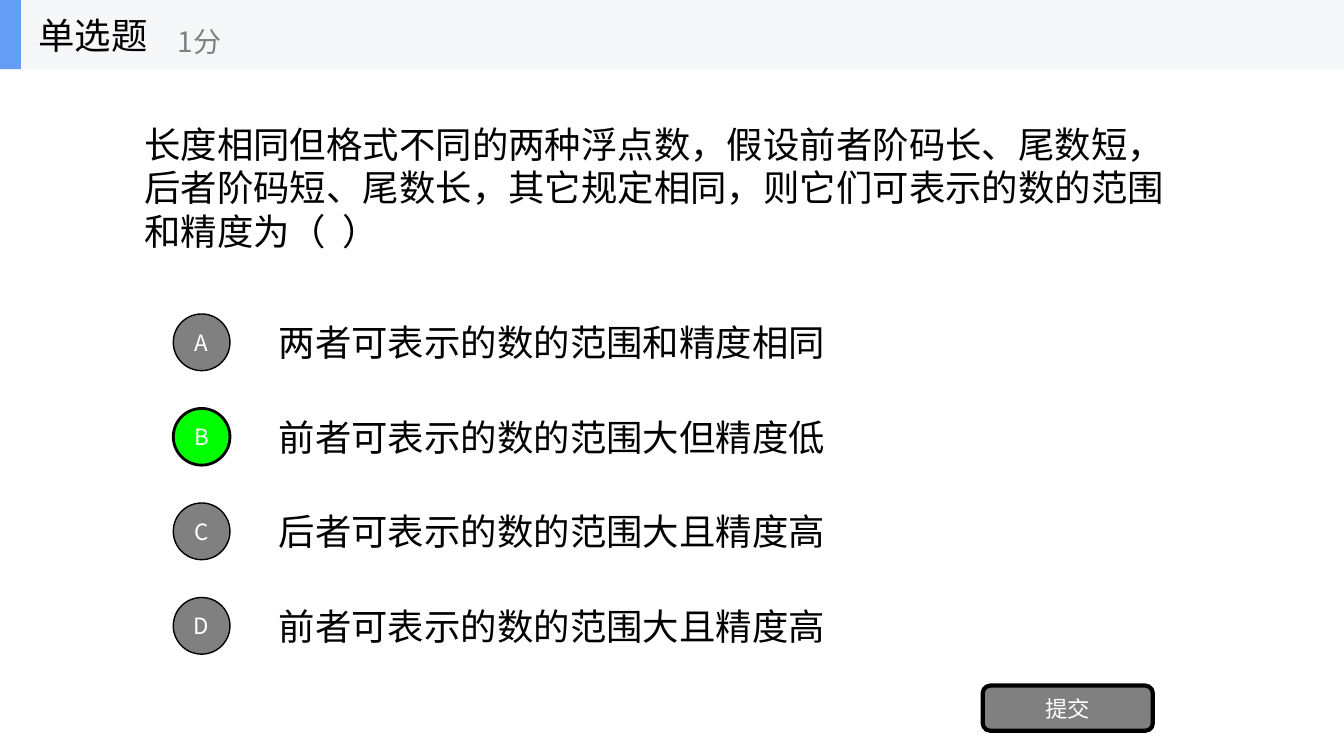
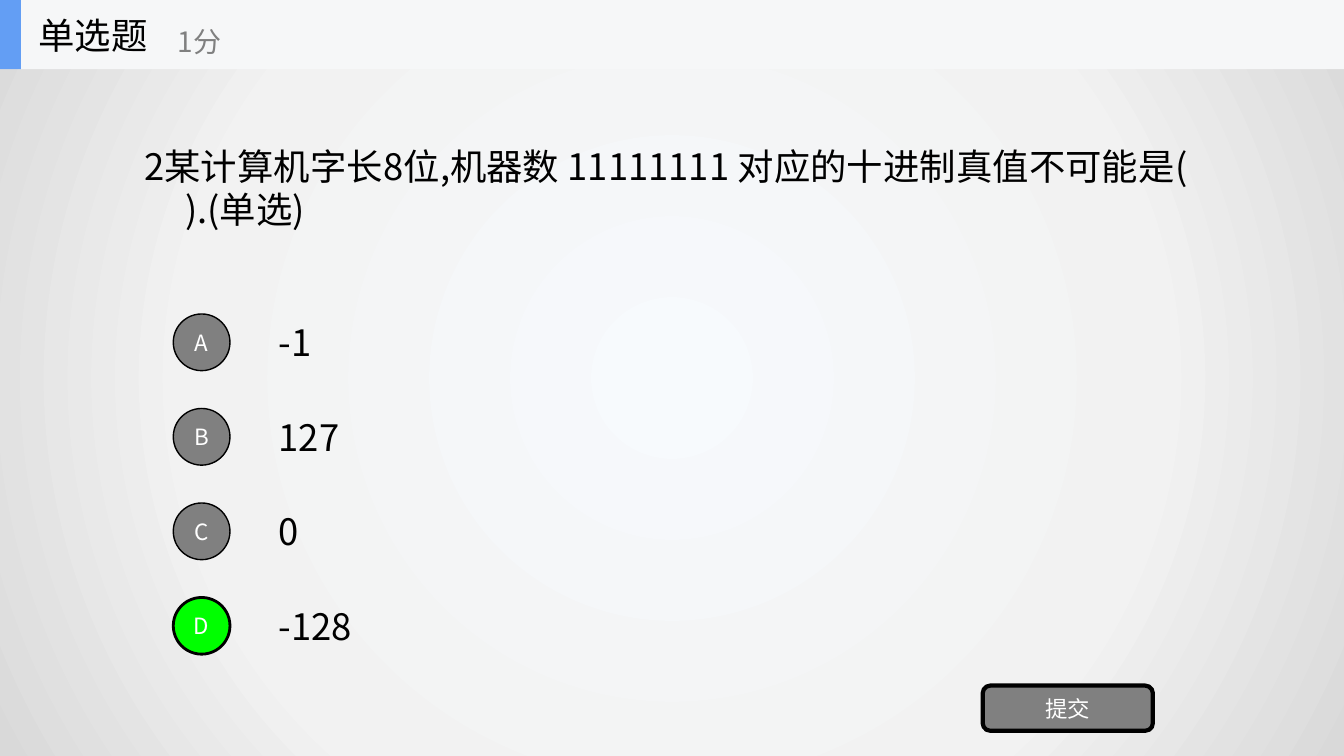
import pptx
import pptx.util
import pptx.dml.color
import pptx.enum.shapes
import pptx.enum.text
import pptx.oxml
import pptx.oxml.ns

RGBColor = pptx.dml.color.RGBColor
Pt = pptx.util.Pt
SHAPE = pptx.enum.shapes.MSO_SHAPE
ALIGN = pptx.enum.text.PP_ALIGN

BLACK = RGBColor(0x00, 0x00, 0x00)
WHITE = RGBColor(0xFF, 0xFF, 0xFF)
GRAY = RGBColor(0x80, 0x80, 0x80)
GREEN = RGBColor(0x00, 0xFF, 0x00)
BLUE = RGBColor(0x63, 0x9E, 0xF4)
PALE = RGBColor(0xF6, 0xF7, 0xF8)
GLOW = [(0, "F7FAFD"), (63, "F2F2F2"), (100, "D9D9D9")]

FONT = "Noto Sans CJK SC"
WIDE, HIGH = 1280, 720
BAND = 66
FIRST, PITCH = 326, 90  # centre of the first option, step to the next
DOT, ROW = 54, 66

QUIZ = [
    ("长度相同但格式不同的两种浮点数，假设前者阶码长、尾数短，"
     "后者阶码短、尾数长，其它规定相同，则它们可表示的数的范围和精度为（  ）",
     ["两者可表示的数的范围和精度相同", "前者可表示的数的范围大但精度低",
      "后者可表示的数的范围大且精度高", "前者可表示的数的范围大且精度高"],
     "B", None),
    ("2某计算机字长8位,机器数 11111111 对应的十进制真值不可能是(      ).(单选)",
     ["-1", "127", "0", "-128"], "D", GLOW),
]


def px(n):
    return pptx.util.Emu(n * 9525)


class Deck:
    """Holds the style and the slide being filled."""

    def __init__(self):
        self.prs = pptx.Presentation()
        self.prs.slide_width, self.prs.slide_height = px(WIDE), px(HIGH)
        self.slide = None

    def start(self, glow):
        self.slide = self.prs.slides.add_slide(self.prs.slide_layouts[5])
        if glow:
            self.shade(glow)

    def shade(self, stops):
        """Give the slide a round gradient from its centre outwards."""
        marks = "".join(f'<a:gs pos="{at * 1000}"><a:srgbClr val="{tint}"/></a:gs>'
                        for at, tint in stops)
        names = pptx.oxml.ns.nsdecls("p", "a")
        ground = pptx.oxml.parse_xml(
            f'<p:bg {names}><p:bgPr><a:gradFill rotWithShape="1">'
            f'<a:gsLst>{marks}</a:gsLst><a:path path="circle">'
            '<a:fillToRect l="50000" t="50000" r="50000" b="50000"/></a:path>'
            '</a:gradFill><a:effectLst/></p:bgPr></p:bg>')
        self.slide.element.cSld.insert(0, ground)

    def words(self, shape, text, size, color, align=ALIGN.LEFT, wrap=True):
        frame = shape.text_frame
        frame.word_wrap = wrap
        frame.auto_size = pptx.enum.text.MSO_AUTO_SIZE.NONE
        frame.vertical_anchor = pptx.enum.text.MSO_ANCHOR.MIDDLE
        para = frame.paragraphs[0]
        para.alignment = align
        run = para.add_run()
        run.text = text
        run.font.size, run.font.name = Pt(size), FONT
        run.font.color.rgb = color
        props = run.font._element
        east = props.makeelement(pptx.oxml.ns.qn("a:ea"), {"typeface": FONT})
        props.find(pptx.oxml.ns.qn("a:latin")).addnext(east)

    def text(self, box, text, size=26, color=BLACK, wrap=True):
        shape = self.slide.shapes.add_textbox(*map(px, box))
        self.words(shape, text, size, color, wrap=wrap)

    def shape(self, kind, box, fill, line=0):
        shape = self.slide.shapes.add_shape(kind, *map(px, box))
        shape.shadow.inherit = False
        shape.fill.solid()
        shape.fill.fore_color.rgb = fill
        if line:
            shape.line.color.rgb = BLACK
            shape.line.width = Pt(line)
        else:
            shape.line.fill.background()
        return shape

    def label(self, kind, box, text, fill, line):
        shape = self.shape(kind, box, fill, line)
        frame = shape.text_frame
        frame.margin_left = frame.margin_right = 0
        frame.margin_top = frame.margin_bottom = 0
        self.words(shape, text, 16, WHITE, ALIGN.CENTER)

    def option(self, mid, mark, text, right):
        self.text((256, mid - ROW // 2, 896, ROW), text)
        fill, line = (GREEN, 2) if right else (GRAY, 1)
        self.label(SHAPE.OVAL, (165, mid - DOT // 2, DOT, DOT), mark, fill, line)

    def head(self, title, score):
        self.shape(SHAPE.RECTANGLE, (0, 0, WIDE, BAND), PALE)
        self.shape(SHAPE.RECTANGLE, (0, 0, 20, BAND), BLUE)
        name = self.slide.shapes.title
        name.left, name.top, name.width, name.height = map(px, (27, 0, 200, BAND))
        self.words(name, title, 26, BLACK, wrap=False)
        self.slide.shapes.element.append(name.element)  # lift above the band
        self.text((160, 12, 240, 54), score, 20, GRAY, wrap=False)

    def quiz(self, ask, picks, answer, glow):
        self.start(glow)
        self.text((128, 66, 1014, 225), ask)
        for i, (mark, pick) in enumerate(zip("ABCD", picks)):
            self.option(FIRST + i * PITCH, mark, pick, mark == answer)
        self.label(SHAPE.ROUNDED_RECTANGLE, (936, 653, 162, 43), "提交", GRAY, 3)
        self.head("单选题", "1分")


def main():
    deck = Deck()
    for item in QUIZ:
        deck.quiz(*item)
    deck.prs.save("out.pptx")


if __name__ == "__main__":
    main()
